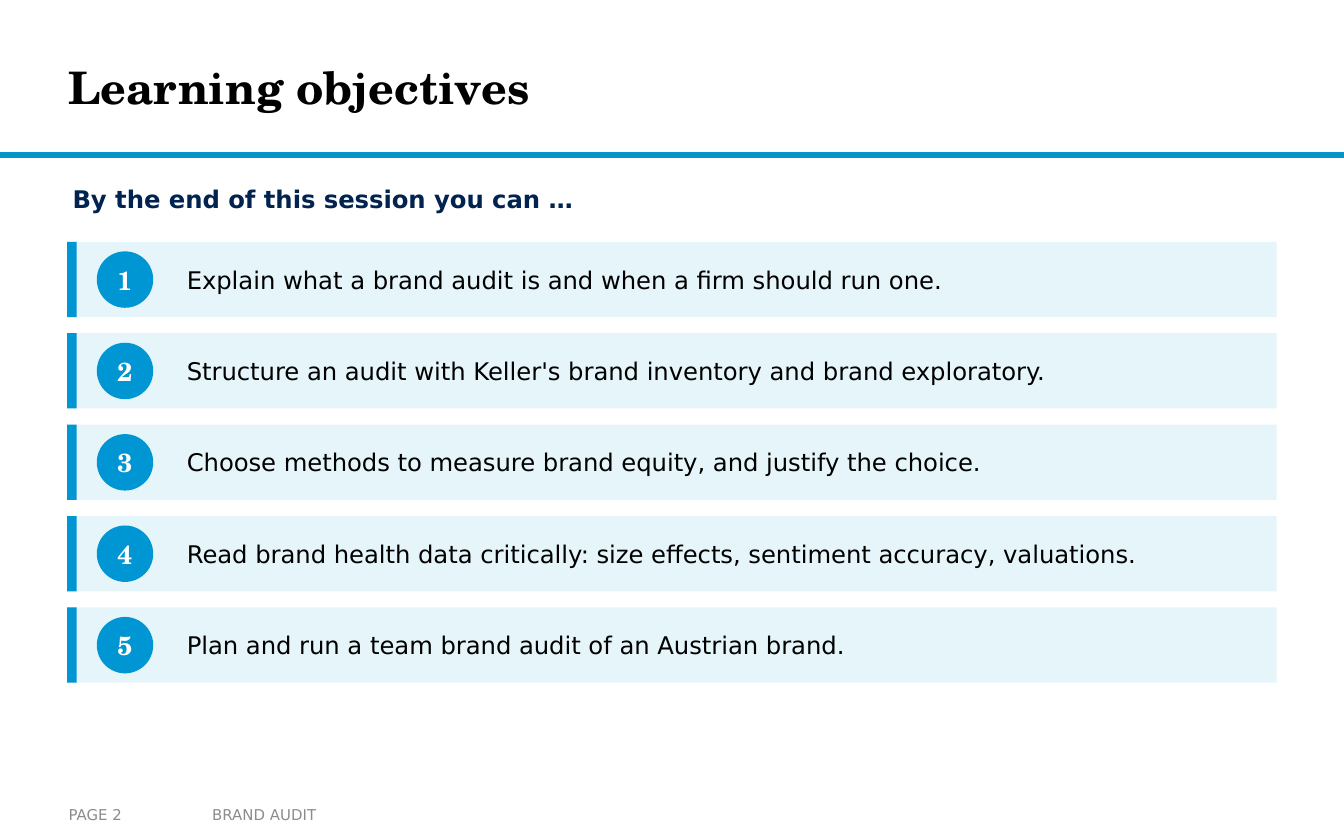
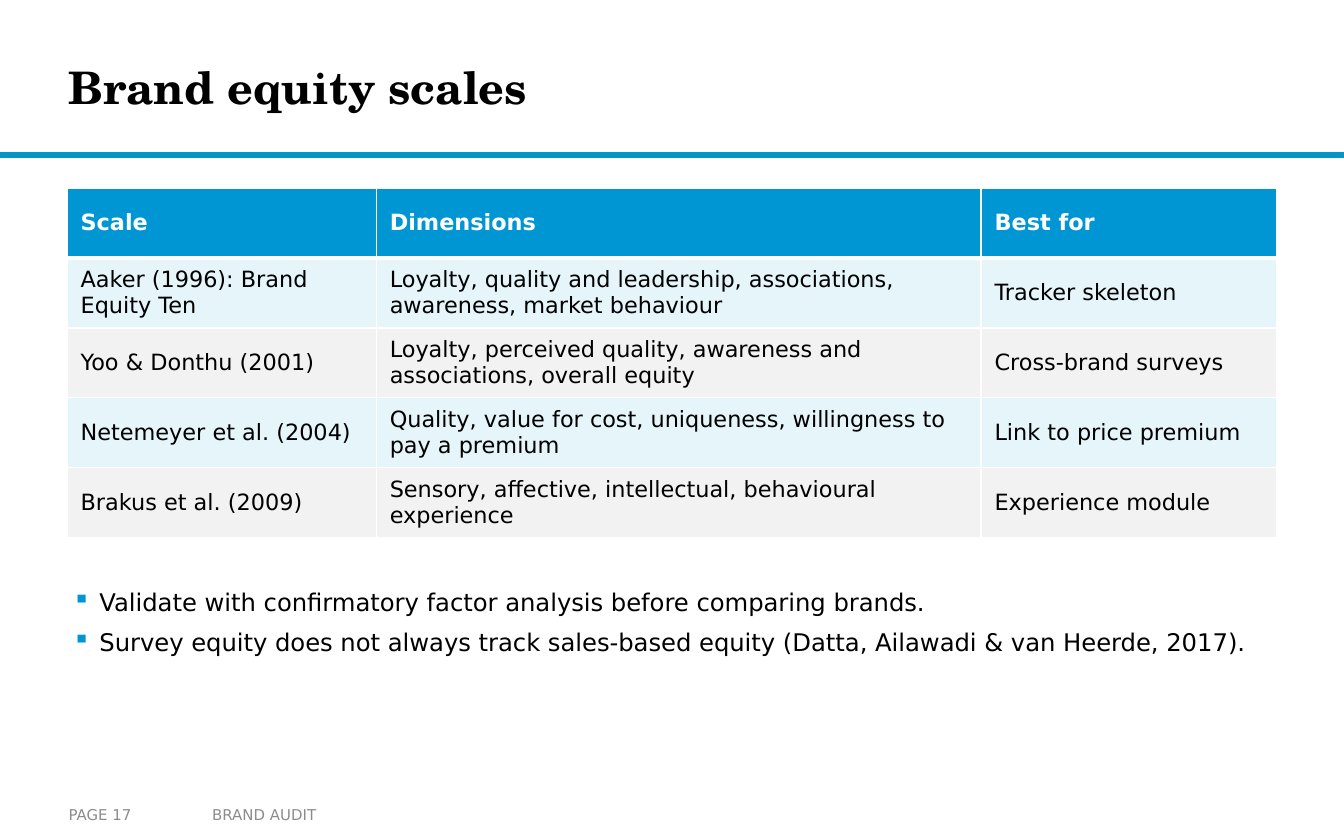
from dataclasses import dataclass

from lxml import etree
from pptx import Presentation
from pptx import util as u
from pptx.dml.color import RGBColor
from pptx.enum import shapes, text
from pptx.oxml import ns

EMU_PER_PX = 9144


@dataclass(frozen=True)
class Theme:
    """Colours, fonts and type sizes shared by the slides."""
    accent: str = "0096D3"
    rule: str = "0C94B7"
    tint: str = "E5F5FA"
    grey: str = "F2F2F2"
    navy: str = "002350"
    ink: str = "000000"
    muted: str = "8C8C8C"
    white: str = "FFFFFF"
    serif: str = "TeX Gyre Schola"
    sans: str = "DejaVu Sans"
    title: int = 24
    number: int = 14
    body: int = 13
    table: int = 12
    footer: int = 8


@dataclass(frozen=True)
class Box:
    """A rectangle in px."""
    x: int
    y: int
    w: int
    h: int

    def emu(self) -> list[int]:
        """Return left, top, width and height in EMU."""
        return [px(v) for v in (self.x, self.y, self.w, self.h)]


@dataclass(frozen=True)
class Objective:
    """One numbered learning objective."""
    number: int
    wording: str


T = Theme()
TIGHT = (4, 2, 4, 2)
LEFT, WIDTH = 50, 900
ROW_TOP, ROW_H, ROW_STEP, BADGE = 180, 56, 68, 42
COLUMNS, TABLE_ROW = (230, 450, 220), 52

OBJECTIVES = [Objective(n, wording) for n, wording in enumerate((
    "Explain what a brand audit is and when a firm should run one.",
    "Structure an audit with Keller's brand inventory and brand exploratory.",
    "Choose methods to measure brand equity, and justify the choice.",
    "Read brand health data critically: size effects, sentiment accuracy, valuations.",
    "Plan and run a team brand audit of an Austrian brand.",
), 1)]

SCALES = (
    ("Scale", "Dimensions", "Best for"),
    ("Aaker (1996): Brand Equity Ten",
     "Loyalty, quality and leadership, associations, awareness, market behaviour",
     "Tracker skeleton"),
    ("Yoo & Donthu (2001)",
     "Loyalty, perceived quality, awareness and associations, overall equity",
     "Cross-brand surveys"),
    ("Netemeyer et al. (2004)",
     "Quality, value for cost, uniqueness, willingness to pay a premium",
     "Link to price premium"),
    ("Brakus et al. (2009)",
     "Sensory, affective, intellectual, behavioural experience",
     "Experience module"),
)

NOTES = (
    "Validate with confirmatory factor analysis before comparing brands.",
    "Survey equity does not always track sales-based equity "
    "(Datta, Ailawadi & van Heerde, 2017).",
)


def px(value: int) -> int:
    """Convert px to EMU."""
    return value * EMU_PER_PX


def rgb(value: str) -> RGBColor:
    """Turn a hex string into a colour."""
    return RGBColor.from_string(value)


def add_bullet(p, indent: int = 20) -> None:
    """Give a paragraph a hanging square bullet."""
    pPr = p._p.get_or_add_pPr()
    pPr.set("marL", str(px(indent)))
    pPr.set("indent", str(-px(indent)))
    colour = etree.SubElement(pPr, ns.qn("a:buClr"))
    etree.SubElement(colour, ns.qn("a:srgbClr"), val=T.accent)
    etree.SubElement(pPr, ns.qn("a:buChar"), char="▪")


def write(tf, *lines: str, size: int = T.body, font: str = T.sans,
          color: str = T.ink, bold: bool = False, align=None,
          after: int = 0, bullet: bool = False) -> None:
    """Fill a text frame with one formatted paragraph per line."""
    for i, line in enumerate(lines):
        p = tf.add_paragraph() if i else tf.paragraphs[0]
        p.alignment = align
        if after:
            p.space_after = u.Pt(after)
        if bullet:
            add_bullet(p)
        r = p.add_run()
        r.text = line
        r.font.size, r.font.name, r.font.bold = u.Pt(size), font, bold
        r.font.color.rgb = rgb(color)


def set_frame(tf, insets: tuple, anchor) -> None:
    """Set wrapping, insets and vertical anchor of a text frame."""
    tf.word_wrap, tf.vertical_anchor = True, anchor
    tf.margin_left, tf.margin_top, tf.margin_right, tf.margin_bottom = map(px, insets)


def add_text(s, box: Box, *lines: str, insets: tuple = TIGHT,
             anchor=text.MSO_ANCHOR.MIDDLE, grow: bool = False, **fmt) -> None:
    """Add a text box."""
    tf = s.shapes.add_textbox(*box.emu()).text_frame
    set_frame(tf, insets, anchor)
    if grow:
        tf.auto_size = text.MSO_AUTO_SIZE.SHAPE_TO_FIT_TEXT
    write(tf, *lines, **fmt)


def add_block(s, box: Box, fill: str, line: str | None = None,
              kind=shapes.MSO_SHAPE.RECTANGLE):
    """Add a filled shape, outlined only when a line colour is given."""
    sp = s.shapes.add_shape(kind, *box.emu())
    sp.shadow.inherit = False
    sp.fill.solid()
    sp.fill.fore_color.rgb = rgb(fill)
    if line:
        sp.line.color.rgb, sp.line.width = rgb(line), u.Pt(1)
    else:
        sp.line.fill.background()
    return sp


def new_slide(prs, title: str, page: int):
    """Add a slide with the shared rule, title and footer."""
    s = prs.slides.add_slide(prs.slide_layouts[6])
    s.background.fill.solid()
    s.background.fill.fore_color.rgb = rgb(T.white)
    add_block(s, Box(0, 114, 1000, 3), T.rule, line=T.accent)
    add_text(s, Box(51, 15, 748, 99), title, insets=(0, 0, 0, 0),
             size=T.title, font=T.serif, bold=True)
    footer = {"size": T.footer, "color": T.muted}
    add_text(s, Box(148, 592, 352, 28), "BRAND AUDIT", insets=(10, 5, 10, 5), **footer)
    add_text(s, Box(51, 592, 98, 28), f"PAGE {page}", insets=(0, 5, 0, 5), **footer)
    return s


def add_objective(s, item: Objective) -> None:
    """Draw one objective row with its bar, badge and wording."""
    y = ROW_TOP + (item.number - 1) * ROW_STEP
    add_block(s, Box(LEFT, y, WIDTH, ROW_H), T.tint)
    add_block(s, Box(LEFT, y, 7, ROW_H), T.accent)
    badge = add_block(s, Box(72, y + (ROW_H - BADGE) // 2, BADGE, BADGE),
                      T.accent, kind=shapes.MSO_SHAPE.OVAL)
    set_frame(badge.text_frame, (0, 0, 0, 0), text.MSO_ANCHOR.MIDDLE)
    write(badge.text_frame, str(item.number), size=T.number, font=T.serif,
          color=T.white, bold=True, align=text.PP_ALIGN.CENTER)
    add_text(s, Box(135, y, 800, ROW_H), item.wording, grow=True)


def set_borders(cell, top: int, bottom: int) -> None:
    """Draw white cell borders, with top and bottom widths in points."""
    tcPr = cell._tc.get_or_add_tcPr()
    for side, width in (("L", 1), ("R", 1), ("T", top), ("B", bottom)):
        ln = etree.SubElement(tcPr, ns.qn(f"a:ln{side}"), w=str(u.Pt(width)))
        fill = etree.SubElement(ln, ns.qn("a:solidFill"))
        etree.SubElement(fill, ns.qn("a:srgbClr"), val=T.white)


def add_scales_table(s, y: int) -> None:
    """Add the table of brand equity scales."""
    box = Box(LEFT, y, WIDTH, TABLE_ROW * len(SCALES))
    table = s.shapes.add_table(len(SCALES), len(COLUMNS), *box.emu()).table
    table.horz_banding = False
    for column, width in zip(table.columns, COLUMNS):
        column.width = px(width)
    for i, values in enumerate(SCALES):
        table.rows[i].height = px(TABLE_ROW)
        header = i == 0
        fill = T.accent if header else (T.grey, T.tint)[i % 2]
        for j, value in enumerate(values):
            cell = table.cell(i, j)
            set_borders(cell, top=3 if i == 1 else 1, bottom=3 if header else 1)
            cell.fill.solid()
            cell.fill.fore_color.rgb = rgb(fill)
            cell.vertical_anchor = text.MSO_ANCHOR.MIDDLE
            cell.margin_left = cell.margin_right = px(10)
            cell.margin_top = cell.margin_bottom = px(4)
            write(cell.text_frame, value, size=T.table, bold=header,
                  color=T.white if header else T.ink)


def build_objectives(prs) -> None:
    """Build the learning objectives slide."""
    s = new_slide(prs, "Learning objectives", 2)
    add_text(s, Box(LEFT, 135, WIDTH, 35), "By the end of this session you can …",
             anchor=text.MSO_ANCHOR.TOP, grow=True, color=T.navy, bold=True, after=6)
    for item in OBJECTIVES:
        add_objective(s, item)


def build_scales(prs) -> None:
    """Build the brand equity scales slide."""
    s = new_slide(prs, "Brand equity scales", 17)
    add_scales_table(s, 140)
    add_text(s, Box(LEFT, 435, WIDTH, 80), *NOTES, anchor=text.MSO_ANCHOR.TOP,
             grow=True, after=6, bullet=True)


def main() -> None:
    """Build and save the presentation."""
    prs = Presentation()
    prs.slide_width, prs.slide_height = px(1000), px(625)
    build_objectives(prs)
    build_scales(prs)
    prs.save("out.pptx")


if __name__ == "__main__":
    main()
